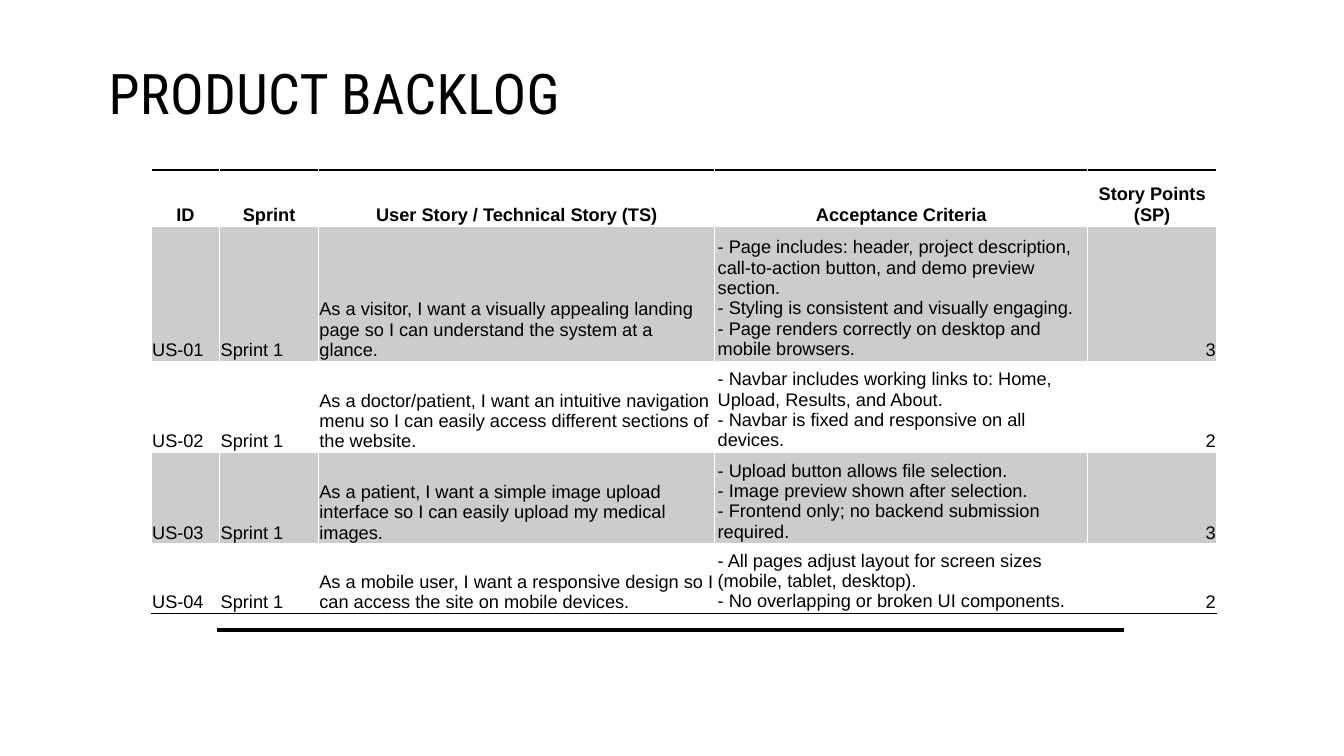
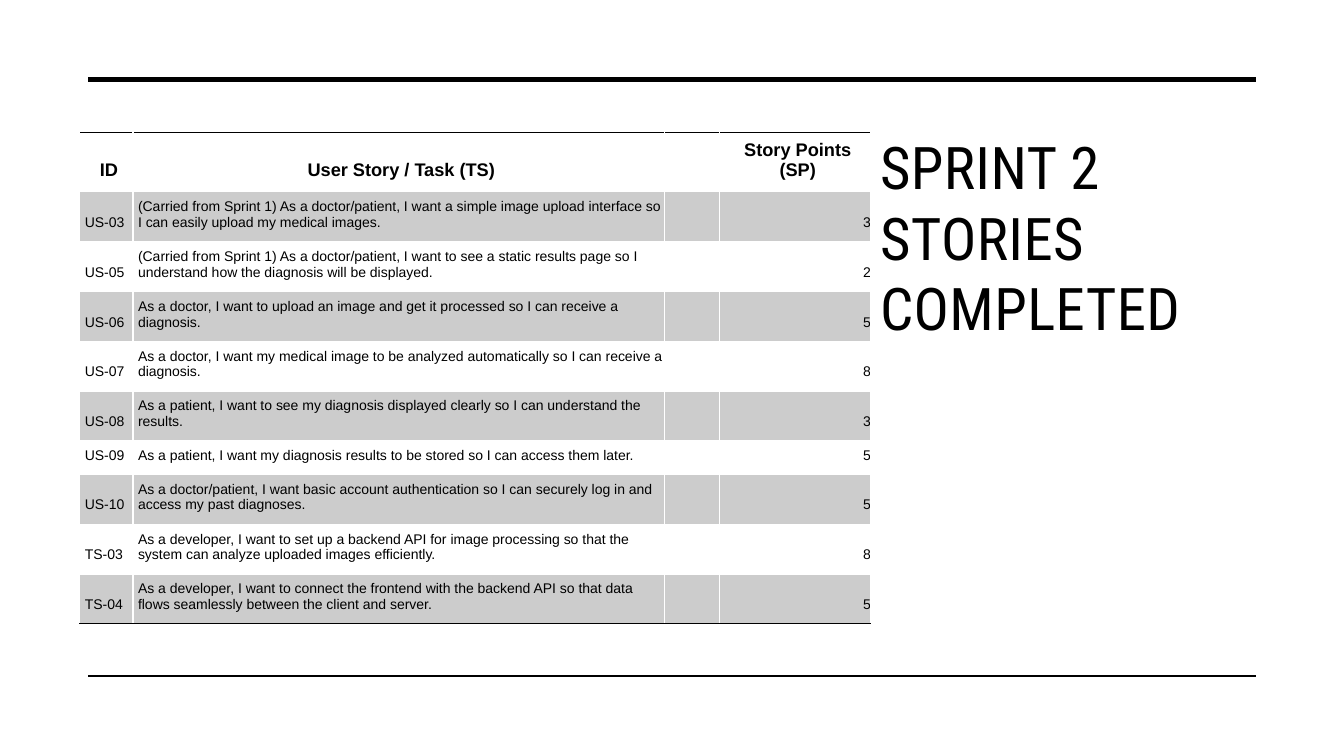
from lxml import etree
from pptx import Presentation
from pptx.dml.color import RGBColor
from pptx.enum import shapes, text
from pptx.oxml.ns import qn
from pptx.util import Pt

BLACK = RGBColor(0x00, 0x00, 0x00)
BAND_ALPHA = "20000"
TITLE_FONT = "Roboto Condensed"
TABLE_FONT = "Arial"
TITLE_SPACING = "30"
HEADER_SIZE = 13
MARGINS = ("margin_left", "margin_top", "margin_right", "margin_bottom")
LEFT, CENTER, RIGHT = text.PP_ALIGN.LEFT, text.PP_ALIGN.CENTER, text.PP_ALIGN.RIGHT
TOP, MIDDLE = text.MSO_ANCHOR.TOP, text.MSO_ANCHOR.MIDDLE

BACKLOG = [
    ("ID", "Sprint", "User Story / Technical Story (TS)", "Acceptance Criteria",
     "Story Points (SP)"),
    ("US-01", "Sprint 1",
     "As a visitor, I want a visually appealing landing page so I can understand "
     "the system at a glance.",
     "- Page includes: header, project description, call-to-action button, and "
     "demo preview section.\n"
     "- Styling is consistent and visually engaging.\n"
     "- Page renders correctly on desktop and mobile browsers.", "3"),
    ("US-02", "Sprint 1",
     "As a doctor/patient, I want an intuitive navigation menu so I can easily "
     "access different sections of the website.",
     "- Navbar includes working links to: Home, Upload, Results, and About.\n"
     "- Navbar is fixed and responsive on all devices.", "2"),
    ("US-03", "Sprint 1",
     "As a patient, I want a simple image upload interface so I can easily upload "
     "my medical images.",
     "- Upload button allows file selection.\n"
     "- Image preview shown after selection.\n"
     "- Frontend only; no backend submission required.", "3"),
    ("US-04", "Sprint 1",
     "As a mobile user, I want a responsive design so I can access the site on "
     "mobile devices.",
     "- All pages adjust layout for screen sizes (mobile, tablet, desktop).\n"
     "- No overlapping or broken UI components.", "2"),
]

COMPLETED = [
    ("ID", "User Story / Task (TS)", "", "Story Points (SP)"),
    ("US-03", "(Carried from Sprint 1) As a doctor/patient, I want a simple image "
     "upload interface so I can easily upload my medical images.", "", "3"),
    ("US-05", "(Carried from Sprint 1) As a doctor/patient, I want to see a static "
     "results page so I understand how the diagnosis will be displayed.", "", "2"),
    ("US-06", "As a doctor, I want to upload an image and get it processed so I can "
     "receive a diagnosis.", "", "5"),
    ("US-07", "As a doctor, I want my medical image to be analyzed automatically so "
     "I can receive a diagnosis.", "", "8"),
    ("US-08", "As a patient, I want to see my diagnosis displayed clearly so I can "
     "understand the results.", "", "3"),
    ("US-09", "As a patient, I want my diagnosis results to be stored so I can "
     "access them later.", "", "5"),
    ("US-10", "As a doctor/patient, I want basic account authentication so I can "
     "securely log in and access my past diagnoses.", "", "5"),
    ("TS-03", "As a developer, I want to set up a backend API for image processing "
     "so that the system can analyze uploaded images efficiently.", "", "8"),
    ("TS-04", "As a developer, I want to connect the frontend with the backend API "
     "so that data flows seamlessly between the client and server.", "", "5"),
]

# Lengths are in points; a rule is (left, right, y, weight).
TIGHT, LOOSE, ROOMY = (0.7, 0.7, 0.7, 0.7), (2.2, 1.4, 2.2, 1.4), (3.6, 0.7, 0, 8)
SLIDES = [
    {
        "title": "PRODUCT BACKLOG", "title_box": (70.5, 36.5, 469.5, 59),
        "title_size": 40, "title_anchor": MIDDLE,
        "rules": [(155, 803, 450, 3.5)],
        "rows": BACKLOG, "table_at": (108, 121.5), "body_size": 13,
        "columns": (49, 70.5, 283, 266.5, 92), "heights": (40, 57, 57, 57, 40),
        "header_margins": [TIGHT] * 5,
        "body_margins": [TIGHT, TIGHT, TIGHT, LOOSE, TIGHT],
    },
    {
        "title": "SPRINT 2 STORIES COMPLETED", "title_box": (621.5, 90, 291.5, 329),
        "title_size": 42, "title_anchor": TOP,
        "rules": [(63, 897, 57, 3.5), (63, 897, 483, 1)],
        "rows": COMPLETED, "table_at": (57, 94.5), "body_size": 10,
        "columns": (38, 379.5, 39.5, 108),
        "heights": (42.5, *[35.6] * 5, 24, *[35.6] * 3),
        "header_margins": [ROOMY] * 4, "body_margins": [ROOMY] * 4,
    },
]


def format_runs(paragraph, **values):
    for run in paragraph.runs:
        run.font.color.rgb = BLACK
        for name, value in values.items():
            setattr(run.font, name, value)


def add_cell_border(cell, side):
    """Draw a thin black line on a side, "T" or "B"; call before filling."""
    line = etree.SubElement(cell._tc.get_or_add_tcPr(), qn(f"a:ln{side}"), w=str(Pt(1)))
    fill = etree.SubElement(line, qn("a:solidFill"))
    etree.SubElement(fill, qn("a:srgbClr"), val=str(BLACK))


presentation = Presentation()
presentation.slide_width, presentation.slide_height = Pt(960), Pt(540)

for content in SLIDES:
    slide = presentation.slides.add_slide(presentation.slide_layouts[6])

    title = slide.shapes.add_textbox(*map(Pt, content["title_box"])).text_frame
    title.word_wrap = True
    title.vertical_anchor = content["title_anchor"]
    paragraph = title.paragraphs[0]
    paragraph.text = content["title"]
    format_runs(paragraph, name=TITLE_FONT, size=Pt(content["title_size"]))
    paragraph.runs[0].font._element.set("spc", TITLE_SPACING)

    for left, right, y, weight in content["rules"]:
        rule = slide.shapes.add_connector(
            shapes.MSO_CONNECTOR.STRAIGHT, Pt(left), Pt(y), Pt(right), Pt(y))
        rule.line.color.rgb = BLACK
        rule.line.width = Pt(weight)
        etree.SubElement(rule._element.spPr, qn("a:effectLst"))

    rows, columns, heights = content["rows"], content["columns"], content["heights"]
    table = slide.shapes.add_table(
        len(rows), len(columns), *map(Pt, content["table_at"]),
        Pt(sum(columns)), Pt(sum(heights))).table
    table.first_row = table.horz_banding = False
    for column, width in zip(table.columns, columns):
        column.width = Pt(width)

    for row_index, values in enumerate(rows):
        table.rows[row_index].height = Pt(heights[row_index])
        is_header, is_last = row_index == 0, row_index == len(rows) - 1
        margins = content["header_margins" if is_header else "body_margins"]
        size = Pt(HEADER_SIZE if is_header else content["body_size"])
        for column_index, value in enumerate(values):
            cell = table.cell(row_index, column_index)
            cell.vertical_anchor = text.MSO_ANCHOR.BOTTOM
            for name, margin in zip(MARGINS, margins[column_index]):
                setattr(cell, name, Pt(margin))
            if is_header:
                add_cell_border(cell, "T")
            if is_header or is_last:
                add_cell_border(cell, "B")
            if row_index % 2:
                cell.fill.solid()
                cell.fill.fore_color.rgb = BLACK
                color = cell._tc.tcPr.find(qn("a:solidFill")).find(qn("a:srgbClr"))
                etree.SubElement(color, qn("a:alpha"), val=BAND_ALPHA)
            else:
                cell.fill.background()

            paragraph = cell.text_frame.paragraphs[0]
            is_points = column_index == len(columns) - 1
            paragraph.alignment = CENTER if is_header else RIGHT if is_points else LEFT
            paragraph.text = value
            format_runs(paragraph, name=TABLE_FONT, size=size, bold=is_header)
            if not value:
                # An empty cell would otherwise stretch its row to the default size.
                paragraph._p.get_or_add_endParaRPr().set("sz", str(int(size.pt * 100)))

presentation.save("out.pptx")
